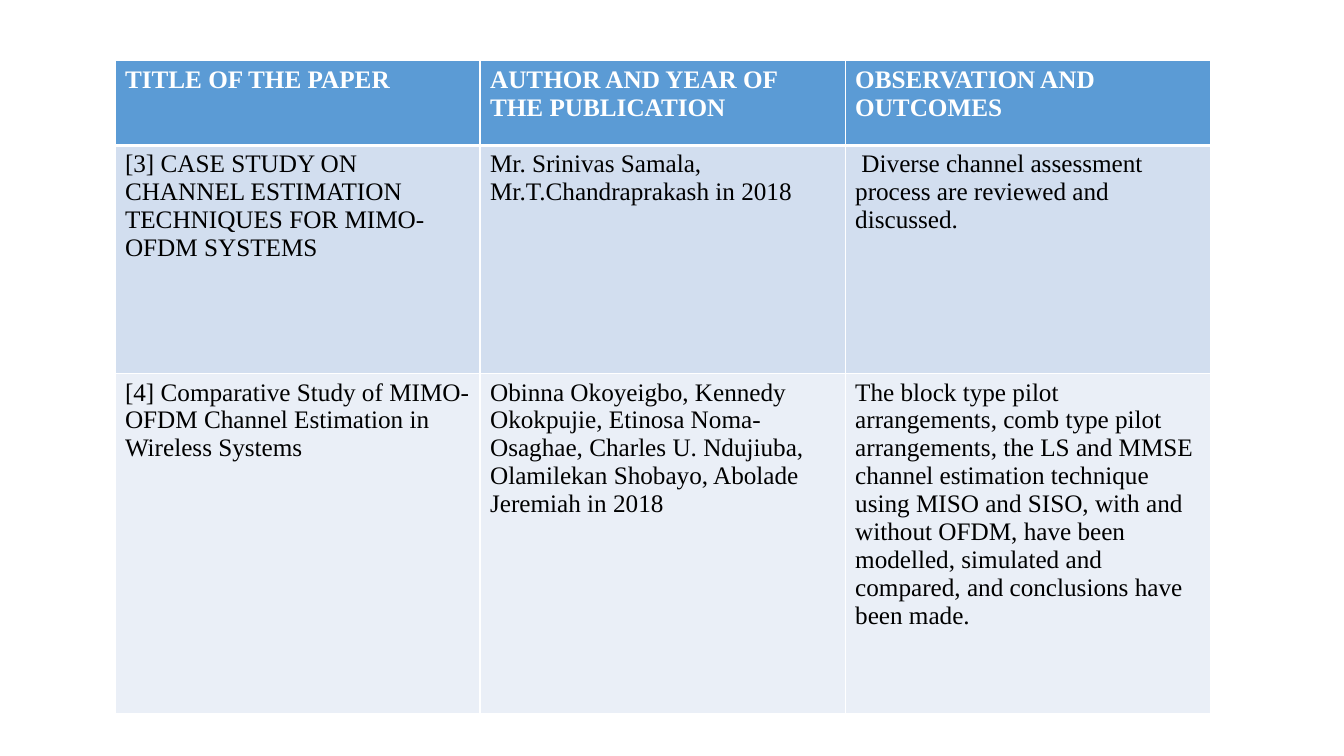
from dataclasses import dataclass

from lxml import etree
from pptx import Presentation
from pptx.dml.color import RGBColor
from pptx.oxml import ns
from pptx.table import _Cell
from pptx.util import Length, Pt

WHITE = RGBColor(0xFF, 0xFF, 0xFF)
BLACK = RGBColor(0x00, 0x00, 0x00)
HEADER_BLUE = RGBColor(0x5B, 0x9B, 0xD5)
BAND_BLUE = RGBColor(0xD2, 0xDE, 0xEF)
BAND_PALE = RGBColor(0xEA, 0xEF, 0xF7)

FONT = "Times New Roman"
FONT_SIZE = Pt(18)
THIN, THICK = Pt(1), Pt(3)
LEFT, TOP = Pt(82.1), Pt(43.4)
COLUMN_WIDTH = Pt(260.8)


@dataclass(frozen=True)
class PaperRow:
    cells: tuple[str, str, str]
    height: Length
    fill: RGBColor
    color: RGBColor = BLACK
    bold: bool = False
    top: Length = THIN
    bottom: Length = THIN


ROWS = [
    PaperRow(
        ("TITLE OF THE PAPER",
         "AUTHOR AND YEAR OF THE PUBLICATION",
         "OBSERVATION AND OUTCOMES"),
        Pt(60.5), HEADER_BLUE, color=WHITE, bold=True, bottom=THICK),
    PaperRow(
        ("[3] CASE STUDY ON CHANNEL ESTIMATION TECHNIQUES FOR MIMO-OFDM SYSTEMS",
         "Mr. Srinivas Samala, Mr.T.Chandraprakash in 2018",
         " Diverse channel assessment process are reviewed and discussed."),
        Pt(162.9), BAND_BLUE, top=THICK),
    PaperRow(
        ("[4] Comparative Study of MIMO-OFDM Channel Estimation in Wireless Systems",
         "Obinna Okoyeigbo, Kennedy Okokpujie, Etinosa Noma-Osaghae, "
         "Charles U. Ndujiuba, Olamilekan Shobayo, Abolade Jeremiah in 2018",
         "The block type pilot arrangements, comb type pilot arrangements, "
         "the LS and MMSE channel estimation technique using MISO and SISO, "
         "with and without OFDM, have been modelled, simulated and compared, "
         "and conclusions have been made."),
        Pt(242.7), BAND_PALE),
]


def add_borders(cell: _Cell, top: Length, bottom: Length) -> None:
    """Draw white cell borders; call before the fill, which must follow them."""
    tc_pr = cell._tc.get_or_add_tcPr()
    for side, width in (("L", THIN), ("R", THIN), ("T", top), ("B", bottom)):
        ln = etree.SubElement(tc_pr, ns.qn(f"a:ln{side}"), w=str(int(width)))
        fill = etree.SubElement(ln, ns.qn("a:solidFill"))
        etree.SubElement(fill, ns.qn("a:srgbClr"), val=str(WHITE))


def fill_cell(cell: _Cell, text: str, row: PaperRow) -> None:
    add_borders(cell, row.top, row.bottom)
    cell.fill.solid()
    cell.fill.fore_color.rgb = row.fill
    r = cell.text_frame.paragraphs[0].add_run()
    r.text = text
    r.font.name = FONT
    r.font.size = FONT_SIZE
    r.font.bold = row.bold
    r.font.color.rgb = row.color


def main() -> None:
    prs = Presentation()
    prs.slide_width, prs.slide_height = Pt(960), Pt(540)
    s = prs.slides.add_slide(prs.slide_layouts[6])

    columns = len(ROWS[0].cells)
    height = sum(row.height for row in ROWS)
    table = s.shapes.add_table(
        len(ROWS), columns, LEFT, TOP, COLUMN_WIDTH * columns, height).table
    for column in table.columns:
        column.width = COLUMN_WIDTH
    for i, row in enumerate(ROWS):
        table.rows[i].height = row.height
        for j, text in enumerate(row.cells):
            fill_cell(table.cell(i, j), text, row)

    prs.save("out.pptx")


if __name__ == "__main__":
    main()
